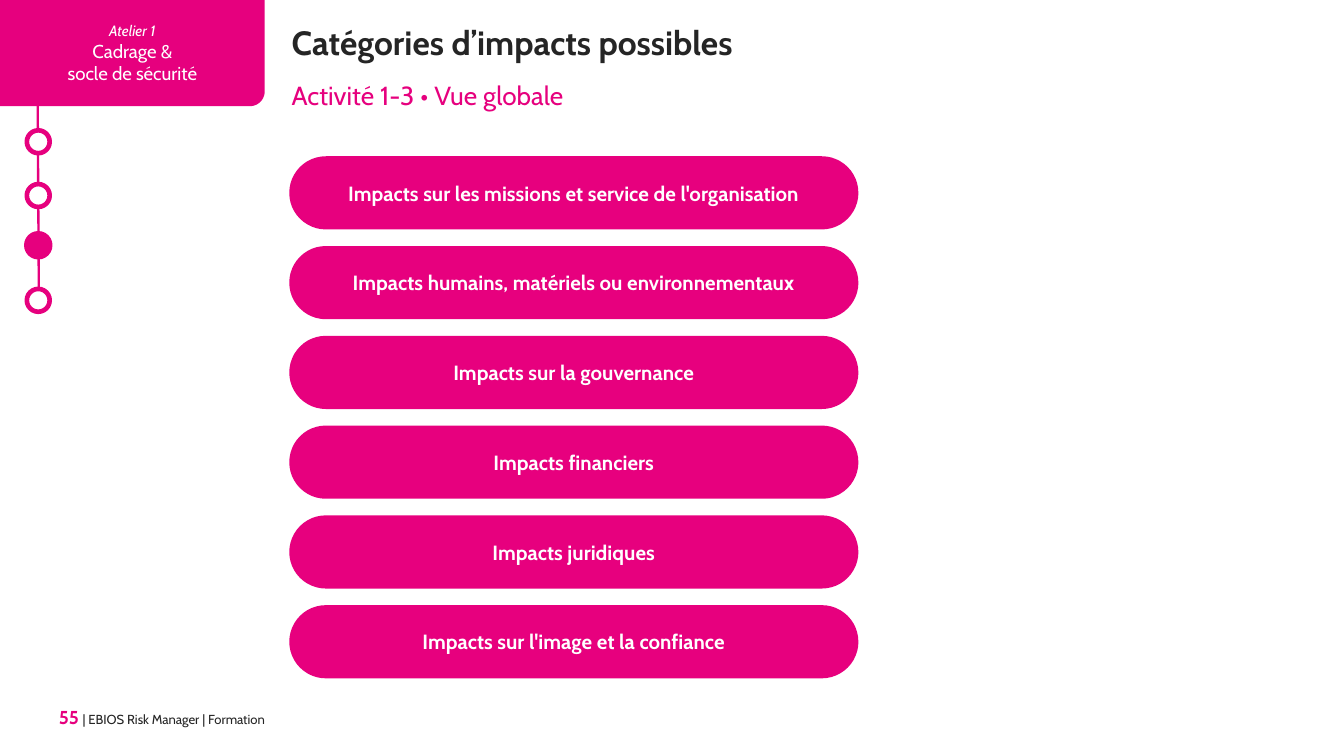
"""Builds the slide listing the possible impact categories of workshop 1."""
from dataclasses import dataclass
from math import cos, pi, sin

from lxml import etree
from pptx import Presentation
from pptx.dml.color import RGBColor
from pptx.enum.shapes import MSO_CONNECTOR, MSO_SHAPE
from pptx.enum.text import MSO_ANCHOR, MSO_AUTO_SIZE, PP_ALIGN
from pptx.oxml.ns import qn
from pptx.util import Inches, Pt

LEFT, CENTER, RIGHT = PP_ALIGN.LEFT, PP_ALIGN.CENTER, PP_ALIGN.RIGHT
MIDDLE, TOP = MSO_ANCHOR.MIDDLE, MSO_ANCHOR.TOP
NO_AUTOFIT = MSO_AUTO_SIZE.NONE
PILL, CIRCLE = MSO_SHAPE.ROUNDED_RECTANGLE, MSO_SHAPE.OVAL
STRAIGHT = MSO_CONNECTOR.STRAIGHT

FONT = "Cabin"
MAGENTA, PINK, WHITE, DARK = "E6007E", "E7007E", "FFFFFF", "252525"
SLIDE_WIDTH = 10
SLIDE_HEIGHT = SLIDE_WIDTH * 9 / 16
CONTENT_LEFT = 2.17


@dataclass(frozen=True)
class Step:
    top: float
    current: bool = False


@dataclass(frozen=True)
class TextLine:
    text: str
    size: float
    color: str
    bold: bool = False
    italic: bool = False


STEPS = (Step(0.97), Step(1.37), Step(1.74, current=True), Step(2.15))
STEP_SIZE = 0.17

WORKSHOP = (
    TextLine("Atelier 1", 8, WHITE, italic=True),
    TextLine("Cadrage &", 10, WHITE),
    TextLine("socle de sécurité", 10, WHITE),
)
FOOTER = (
    TextLine("55", 10, MAGENTA, bold=True),
    TextLine(" ", 9, "323232"),
    TextLine("| EBIOS Risk Manager | Formation", 7, DARK),
)
IMPACTS = (
    "Impacts sur les missions et service de l'organisation",
    "Impacts humains, matériels ou environnementaux",
    "Impacts sur la gouvernance",
    "Impacts financiers",
    "Impacts juridiques",
    "Impacts sur l'image et la confiance",
)
FIRST_IMPACT_TOP, LAST_IMPACT_TOP = 1.18, 4.52


def rgb(color: str) -> RGBColor:
    return RGBColor.from_string(color)


def style_font(font, line: TextLine) -> None:
    font.name, font.size = FONT, Pt(line.size)
    font.bold, font.italic = line.bold, line.italic
    font.color.rgb = rgb(line.color)


def write_lines(frame, lines: tuple[TextLine, ...], align) -> None:
    frame.word_wrap = True
    for index, line in enumerate(lines):
        paragraph = frame.add_paragraph() if index else frame.paragraphs[0]
        paragraph.text, paragraph.alignment = line.text, align
        style_font(paragraph.font, line)


def paint(shape, fill: str, outline: str, width: float) -> None:
    shape.shadow.inherit = False
    shape.fill.solid()
    shape.fill.fore_color.rgb = rgb(fill)
    if width:
        shape.line.color.rgb = rgb(outline)
        shape.line.width = Pt(width)
    else:
        shape.line.fill.background()


def clear_margins(frame) -> None:
    frame.margin_left = frame.margin_right = 0
    frame.margin_top = frame.margin_bottom = 0


def draw_progress(shapes) -> None:
    track = shapes.add_connector(
        STRAIGHT, Inches(0.28), Inches(0.67), Inches(0.29), Inches(2.33))
    track.line.color.rgb = rgb(MAGENTA)
    track.line.width = Pt(1.25)
    etree.SubElement(track._element.spPr, qn("a:effectLst"))
    for step in STEPS:
        marker = shapes.add_shape(
            CIRCLE, Inches(0.2), Inches(step.top), Inches(STEP_SIZE), Inches(STEP_SIZE))
        paint(marker, MAGENTA if step.current else WHITE, MAGENTA, 3 if step.current else 2.5)


def draw_workshop_banner(shapes, width: float, height: float, radius: float) -> None:
    angles = [pi / 2 * i / 16 for i in range(17)]
    corner = [(width - radius + radius * cos(a), height - radius + radius * sin(a))
              for a in angles]
    outline = [(width, 0), *corner, (0, height)]
    builder = shapes.build_freeform(0, 0)
    builder.add_line_segments([(Inches(x), Inches(y)) for x, y in outline], close=True)
    banner = builder.convert_to_shape()
    paint(banner, MAGENTA, MAGENTA, 0)
    banner.text_frame.vertical_anchor = MIDDLE
    write_lines(banner.text_frame, WORKSHOP, CENTER)


def draw_footer(shapes) -> None:
    footer = shapes.add_textbox(Inches(0.2), Inches(5.25), Inches(1.77), Inches(0.2))
    frame = footer.text_frame
    frame.word_wrap = True
    clear_margins(frame)
    paragraph = frame.paragraphs[0]
    paragraph.alignment = RIGHT
    for part in FOOTER:
        run = paragraph.add_run()
        run.text = part.text
        style_font(run.font, part)


def draw_impacts(shapes) -> None:
    pitch = (LAST_IMPACT_TOP - FIRST_IMPACT_TOP) / (len(IMPACTS) - 1)
    for index, impact in enumerate(IMPACTS):
        pill = shapes.add_shape(
            PILL, Inches(CONTENT_LEFT), Inches(FIRST_IMPACT_TOP + index * pitch),
            Inches(4.2), Inches(0.51))
        pill.adjustments[0] = 0.5
        paint(pill, PINK, PINK, 2.5)
        pill.text_frame.vertical_anchor = MIDDLE
        write_lines(pill.text_frame, (TextLine(impact, 11, WHITE, bold=True),), CENTER)


def write_heading(shape, line: TextLine) -> None:
    frame = shape.text_frame
    clear_margins(frame)
    frame.auto_size = NO_AUTOFIT
    frame.vertical_anchor = TOP
    write_lines(frame, (line,), LEFT)


def main() -> None:
    deck = Presentation()
    deck.slide_width, deck.slide_height = Inches(SLIDE_WIDTH), Inches(SLIDE_HEIGHT)
    slide = deck.slides.add_slide(deck.slide_layouts[5])
    shapes = slide.shapes

    draw_progress(shapes)
    draw_workshop_banner(shapes, 1.97, 0.79, 0.11)
    draw_footer(shapes)
    draw_impacts(shapes)

    title = shapes.title
    title.left, title.top = Inches(CONTENT_LEFT), Inches(0.16)
    title.width, title.height = Inches(7.48), Inches(0.3)
    write_heading(title, TextLine("Catégories d’impacts possibles", 18, DARK, bold=True))
    subtitle = shapes.add_textbox(
        Inches(CONTENT_LEFT), Inches(0.59), Inches(7.04), Inches(0.24))
    write_heading(subtitle, TextLine("Activité 1-3 • Vue globale", 14, MAGENTA))

    deck.save("out.pptx")


if __name__ == "__main__":
    main()
